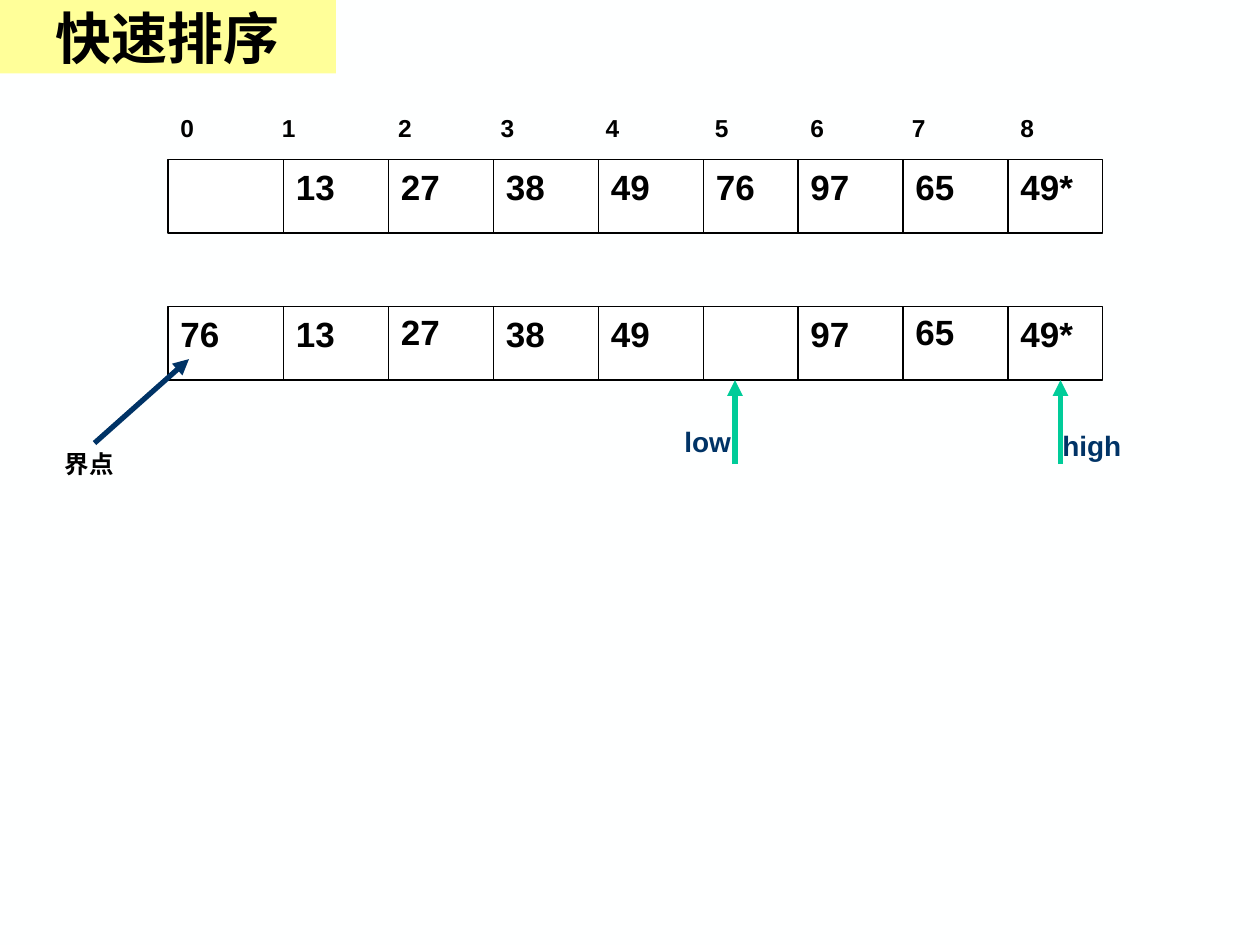
from dataclasses import dataclass

from lxml.etree import SubElement
from pptx import Presentation
from pptx.dml.color import RGBColor
from pptx.enum.shapes import MSO_CONNECTOR, MSO_SHAPE
from pptx.enum.text import MSO_ANCHOR, MSO_AUTO_SIZE, PP_ALIGN
from pptx.oxml.ns import qn
from pptx.util import Pt


@dataclass(frozen=True)
class Theme:
    background: RGBColor = RGBColor(0xFE, 0xFF, 0xFF)
    cell: RGBColor = RGBColor(0xFF, 0xFF, 0xFF)
    ink: RGBColor = RGBColor(0, 0, 0)
    navy: RGBColor = RGBColor(0x00, 0x33, 0x66)
    green: RGBColor = RGBColor(0x00, 0xCC, 0x99)
    banner: RGBColor = RGBColor(0xFF, 0xFF, 0x99)
    font: str = "Arial"
    title_font: str = "Times New Roman"
    title_size: int = 32
    value_size: int = 20
    pointer_size: int = 16
    label_size: int = 14


THEME = Theme()

# Left edges of the nine cells, then the right end of the array (points)
EDGES = [96, 162, 222, 282, 342, 402, 456, 516, 576, 630]
ROW_HEIGHT = 42
TOP_ROW, BOTTOM_ROW = 91.2, 175.2
INDEX_TABS = [58, 124.5, 183, 243, 305.5, 360, 418, 480]


def set_values(target, values):
    for name, value in values.items():
        setattr(target, name, value)


def style_font(para, size, color, font=THEME.font):
    set_values(para.font, {"name": font, "size": Pt(size), "bold": True})
    para.font.color.rgb = color


def add_title(page, text):
    title = page.shapes.title
    set_values(title, {"left": Pt(0), "top": Pt(0), "width": Pt(192), "height": Pt(ROW_HEIGHT)})
    title.fill.solid()
    title.fill.fore_color.rgb = THEME.banner
    set_values(title.text_frame, {
        "text": text,
        "auto_size": MSO_AUTO_SIZE.NONE,
        "vertical_anchor": MSO_ANCHOR.MIDDLE,
        "word_wrap": True,
    })
    para = title.text_frame.paragraphs[0]
    para.alignment = PP_ALIGN.CENTER
    style_font(para, THEME.title_size, THEME.ink, THEME.title_font)


def add_text(page, text, left, top, width, height, size, color=THEME.ink, tabs=()):
    box = page.shapes.add_textbox(Pt(left), Pt(top), Pt(width), Pt(height))
    set_values(box.text_frame, {
        "text": text,
        "word_wrap": True,
        "auto_size": MSO_AUTO_SIZE.SHAPE_TO_FIT_TEXT,
    })
    para = box.text_frame.paragraphs[0]
    if tabs:
        tab_list = SubElement(para._p.get_or_add_pPr(), qn("a:tabLst"))
        for position in tabs:
            SubElement(tab_list, qn("a:tab"), pos=str(Pt(position)), algn="l")
    style_font(para, size, color)


def add_line(page, start, end, color=THEME.ink, width=0.75, arrow=False):
    line = page.shapes.add_connector(
        MSO_CONNECTOR.STRAIGHT, *(Pt(value) for value in (*start, *end)))
    line.line.width = Pt(width)
    line.line.color.rgb = color
    if arrow:
        SubElement(line.line._get_or_add_ln(), qn("a:tailEnd"), type="triangle")
    SubElement(line._element.spPr, qn("a:effectLst"))


def add_array(page, top, values, lifted=()):
    frame = page.shapes.add_shape(
        MSO_SHAPE.RECTANGLE, Pt(EDGES[0]), Pt(top), Pt(EDGES[-1] - EDGES[0]), Pt(ROW_HEIGHT))
    frame.shadow.inherit = False
    frame.fill.solid()
    frame.fill.fore_color.rgb = THEME.cell
    frame.line.color.rgb = THEME.ink
    frame.line.width = Pt(0.75)
    for edge in EDGES[1:-1]:
        add_line(page, (edge, top), (edge, top + ROW_HEIGHT))
    for index, (left, value) in enumerate(zip(EDGES, values)):
        if value:
            text_top = top - 1.2 if index in lifted else top
            add_text(page, value, left, text_top, 48, 31.7, THEME.value_size)


def add_pointer(page, name, x, label_left, label_top):
    tip = BOTTOM_ROW + ROW_HEIGHT
    add_line(page, (x, tip + 48), (x, tip), THEME.green, 3, arrow=True)
    add_text(page, name, label_left, label_top, 66, 26.6, THEME.pointer_size, THEME.navy)


def main():
    deck = Presentation()
    set_values(deck, {"slide_width": Pt(720), "slide_height": Pt(540)})
    page = deck.slides.add_slide(deck.slide_layouts.get_by_name("Title Only"))
    page.background.fill.solid()
    page.background.fill.fore_color.rgb = THEME.background

    add_title(page, "快速排序")

    # Indices above the array
    add_text(page, "\t".join(str(index) for index in range(9)),
             EDGES[0], 61.2, 534, 24.5, THEME.label_size, tabs=INDEX_TABS)

    # Array before and after the pivot moves to cell 0
    add_array(page, TOP_ROW, ["", "13", "27", "38", "49", "76", "97", "65", "49*"])
    add_array(page, BOTTOM_ROW, ["76", "13", "27", "38", "49", "", "97", "65", "49*"],
              lifted=(2, 7))

    # Search pointers
    add_pointer(page, "low", 420, 384, 239)
    add_pointer(page, "high", 606, 600, 241.2)

    # Pivot mark
    add_text(page, "界点", 30, 253.2, 60, 24.5, THEME.label_size)
    add_line(page, (54, 253.2), (108, 205.2), THEME.navy, 3, arrow=True)

    deck.save("out.pptx")


if __name__ == "__main__":
    main()
